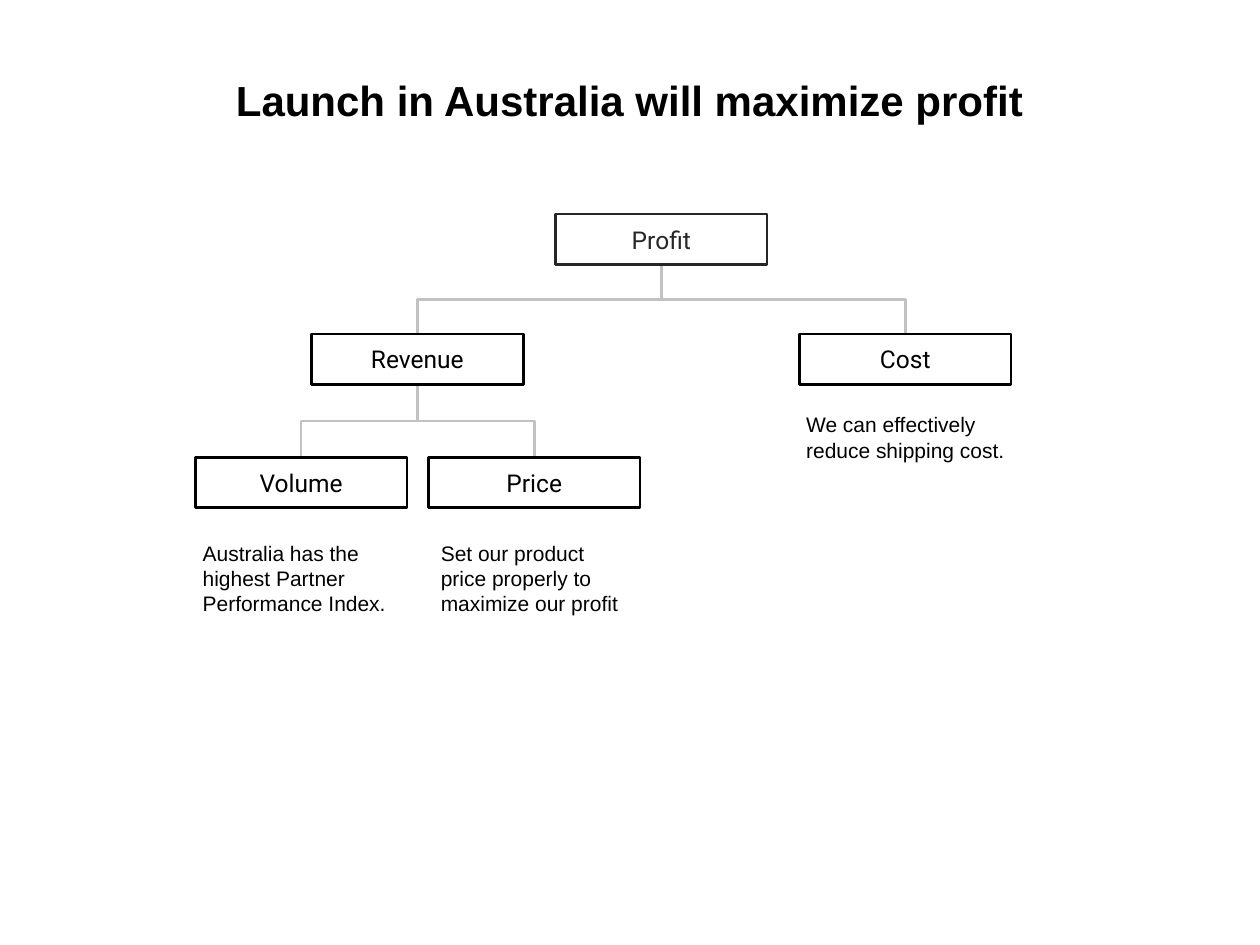
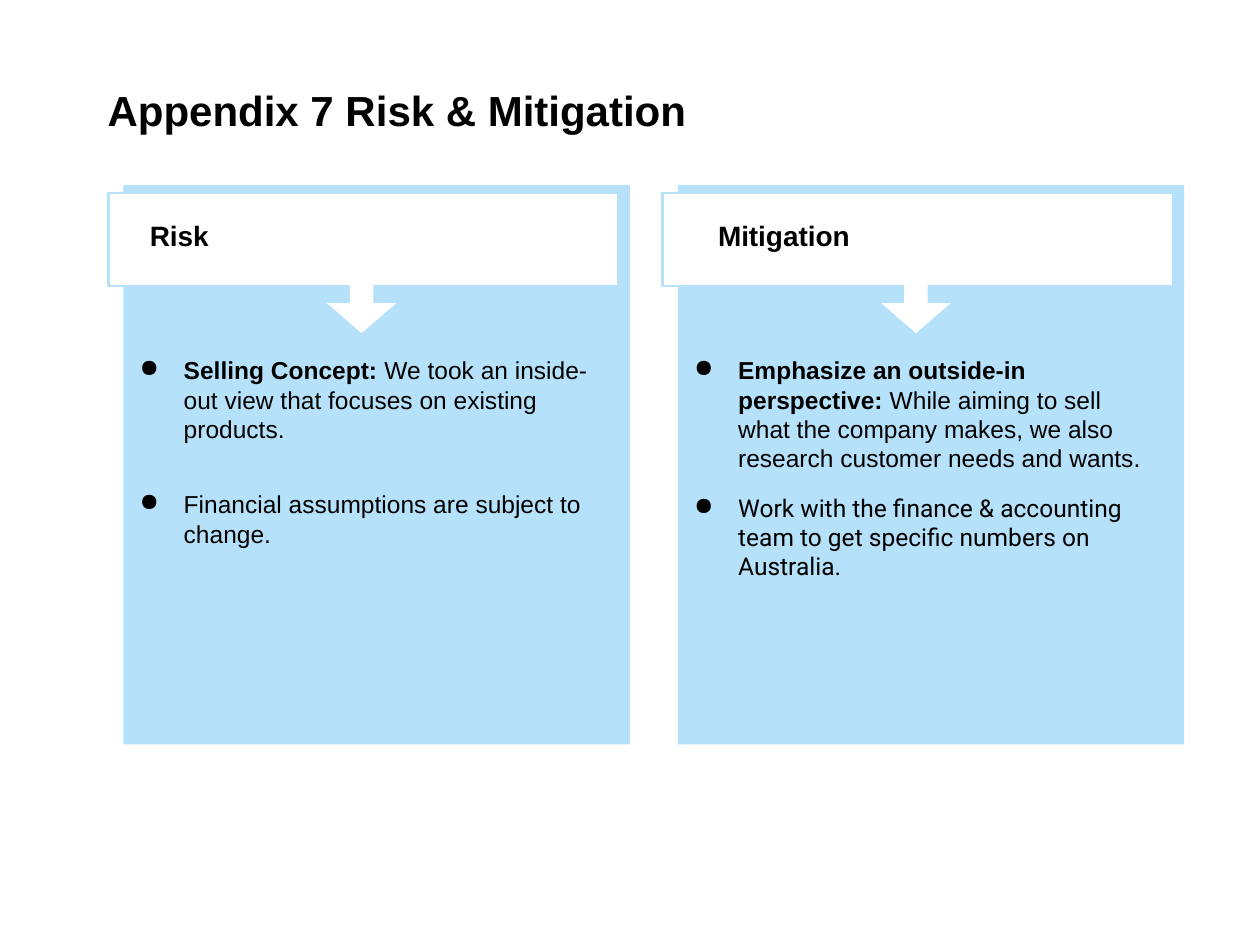
from lxml.etree import SubElement
from pptx import Presentation
from pptx.dml.color import RGBColor
from pptx.enum.shapes import MSO_CONNECTOR, MSO_SHAPE
from pptx.enum.text import MSO_ANCHOR, PP_ALIGN
from pptx.oxml.ns import qn
from pptx.util import Pt

BLACK, DARK, GREY = "000000", "262626", "C2C2C2"
WHITE, SKY = "FFFFFF", "B6E1FA"
SANS, ROBOTO = "Arial", "Roboto"
INSET = 7.2
NODE_W, NODE_H = 121, 28.8


def paint(fmt, color):
    """Give a fill or a font colour; None leaves a fill empty."""
    if color is None:
        fmt.background()
        return
    if hasattr(fmt, "solid"):
        fmt.solid()
        fmt = fmt.fore_color
    fmt.rgb = RGBColor.from_string(color)


def add_bullet(para):
    props = para._p.get_or_add_pPr()
    props.set("marL", str(Pt(36)))
    props.set("indent", str(Pt(-25.2)))
    tint = SubElement(props, qn("a:buClr"))
    SubElement(tint, qn("a:srgbClr")).set("val", BLACK)
    SubElement(props, qn("a:buChar")).set("char", "●")


def write(frame, paras, size=14, font=SANS, color=BLACK, bold=False,
          align=PP_ALIGN.LEFT, anchor=MSO_ANCHOR.TOP, bullet=False,
          gap=0, pad=INSET):
    """Fill a frame; each paragraph is a string or a list of (text, bold)."""
    frame.word_wrap = True
    frame.vertical_anchor = anchor
    frame.margin_left = frame.margin_right = Pt(INSET)
    frame.margin_top = frame.margin_bottom = Pt(pad)
    for i, runs in enumerate(paras):
        para = frame.add_paragraph() if i else frame.paragraphs[0]
        if bullet:
            add_bullet(para)
        para.alignment = align
        if i:
            para.space_before = Pt(gap)
        para.font.size = Pt(size)
        for text, heavy in [(runs, bold)] if isinstance(runs, str) else runs:
            run = para.add_run()
            run.text = text
            run.font.name, run.font.size = font, Pt(size)
            run.font.bold = heavy
            paint(run.font.color, color)


class Deck:
    """Shared style and the slide being built."""

    def __init__(self):
        self.prs = Presentation()
        self.prs.slide_width, self.prs.slide_height = Pt(720), Pt(540)
        self.slide = None

    def start(self):
        self.slide = self.prs.slides.add_slide(self.prs.slide_layouts[6])

    def title(self, text, top, height, align=PP_ALIGN.LEFT):
        self.text([text], 54.4, top, 610.6, height, size=24, bold=True,
                  align=align, pad=3.6)

    def text(self, paras, x, y, w, h, **style):
        box = self.slide.shapes.add_textbox(Pt(x), Pt(y), Pt(w), Pt(h))
        write(box.text_frame, paras, **style)

    def shape(self, kind, x, y, w, h, fill=None, line=None):
        shape = self.slide.shapes.add_shape(kind, Pt(x), Pt(y), Pt(w), Pt(h))
        shape.shadow.inherit = False
        paint(shape.fill, fill)
        paint(shape.line.fill, line)
        if line:
            shape.line.width = Pt(1.5)
        return shape

    def node(self, text, x, y, color=BLACK):
        box = self.shape(MSO_SHAPE.RECTANGLE, x, y, NODE_W, NODE_H, line=color)
        write(box.text_frame, [text], font=ROBOTO, color=color,
              align=PP_ALIGN.CENTER, anchor=MSO_ANCHOR.MIDDLE)

    def branch(self, parent, child):
        """Elbow from a parent's bottom to a child's top, vertical first."""
        (px, py), (cx, cy) = parent, child
        mid_x, mid_y = (px + cx + NODE_W) / 2, (py + NODE_H + cy) / 2
        # The elbow is drawn lying down, then turned by 270 degrees.
        half_w = (cy - py - NODE_H) / 2 * (1 if cx > px else -1)
        half_h = abs(cx - px) / 2
        link = self.slide.shapes.add_connector(
            MSO_CONNECTOR.ELBOW, Pt(mid_x + half_w), Pt(mid_y - half_h),
            Pt(mid_x - half_w), Pt(mid_y + half_h))
        props = link._element.spPr
        props.find(qn("a:xfrm")).set("rot", str(270 * 60000))
        paint(link.line.fill, GREY)
        link.line.width = Pt(1.5)
        SubElement(props, qn("a:effectLst"))

    def panel(self, head, x, indent):
        """Blue card with an overlapping white header and a down arrow."""
        rect = MSO_SHAPE.RECTANGLE
        self.shape(rect, x + 8.6, 105.8, 289.4, 319.7, fill=SKY)
        self.shape(rect, x, 110.2, 291.6, 53.3, fill=WHITE, line=SKY)
        self.text([head], x + indent, 108, 258.5, 53.3, size=16, bold=True,
                  anchor=MSO_ANCHOR.MIDDLE)
        arrow = self.shape(MSO_SHAPE.RIGHT_ARROW, x + 129.6, 155.5, 30.2, 39.6,
                           fill=WHITE)
        arrow.rotation = 90
        arrow.adjustments[0], arrow.adjustments[1] = 0.34, 0.57

    def points(self, paras, x, y, h, **style):
        self.text(paras, x, y, 289.4, h, bullet=True, **style)


def profit_tree(deck):
    deck.start()
    deck.title("Launch in Australia will maximize profit", 38.9, 82.8,
               PP_ALIGN.CENTER)
    spots = {
        "Profit": (317.4, 122.4),
        "Revenue": (178, 190.8),
        "Cost": (456.8, 190.8),
        "Price": (244.8, 261.4),
        "Volume": (111.6, 261.4),
    }
    # Branches, then nodes on top
    for parent, child in [("Profit", "Cost"), ("Profit", "Revenue"),
                          ("Revenue", "Price"), ("Revenue", "Volume")]:
        deck.branch(spots[parent], spots[child])
    for name, (x, y) in spots.items():
        deck.node(name, x, y, DARK if name == "Profit" else BLACK)
    # Notes below the leaves
    for note, x, y, w in [
        ("Australia has the highest Partner Performance Index.",
         108.7, 301.7, 123.8),
        ("Set our product price properly to maximize our profit",
         244.8, 301.7, 121),
        ("We can effectively reduce shipping cost.", 453.6, 228.2, 129.6),
    ]:
        deck.text([note], x, y, w, 119.5, size=12)


def risk_cards(deck):
    deck.start()
    deck.title("Appendix 7 Risk & Mitigation", 44.6, 43.9)
    left, right = 61.9, 378.7
    # Risk
    deck.panel("Risk", left, 16.6)
    deck.points([
        [("Selling Concept: ", True),
         ("We took an inside-out view that focuses on existing products.",
          False)],
        "Financial assumptions are subject to change.",
    ], left, 195.8, 179.3, gap=26.2)
    # Mitigation
    deck.panel("Mitigation", right, 24.5)
    deck.points([
        [("Emphasize an outside-in perspective: ", True),
         ("While aiming to sell what the company makes, we also research "
          "customer needs and wants.", False)],
    ], right, 195.8, 78)
    deck.points(["Work with the finance & accounting team to get specific "
                 "numbers on Australia."], right, 274.3, 64, font=ROBOTO)


def main():
    deck = Deck()
    profit_tree(deck)
    risk_cards(deck)
    deck.prs.save("out.pptx")


if __name__ == "__main__":
    main()
